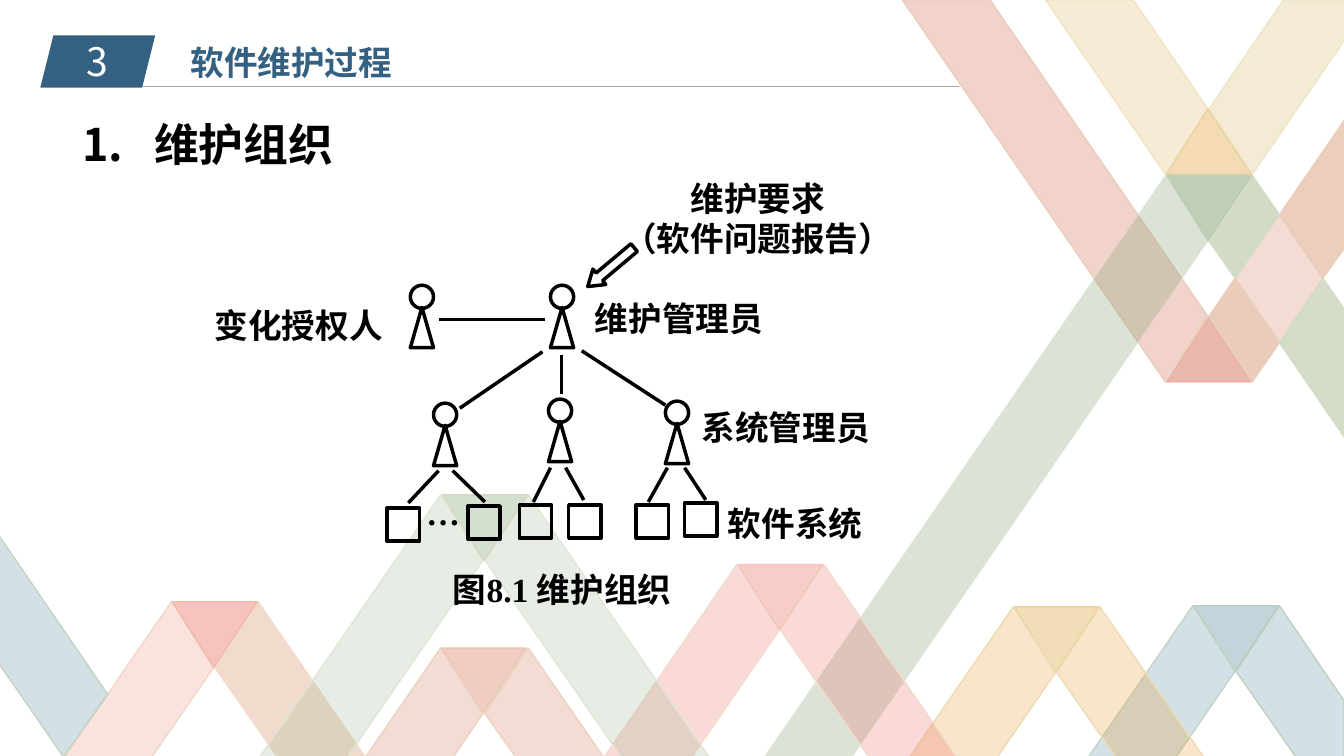
"""Draw the slide on how software upkeep is organised."""
from dataclasses import dataclass

from lxml import etree
from pptx import Presentation
from pptx.dml.color import RGBColor
from pptx.enum.shapes import MSO_CONNECTOR, MSO_SHAPE
from pptx.enum.text import PP_ALIGN
from pptx.oxml.ns import qn
from pptx.util import Cm, Length, Pt

LINE = MSO_CONNECTOR.STRAIGHT
OVAL, CONE = MSO_SHAPE.OVAL, MSO_SHAPE.ISOSCELES_TRIANGLE
BOX, ARROW, SLANT = MSO_SHAPE.RECTANGLE, MSO_SHAPE.LEFT_ARROW, MSO_SHAPE.PARALLELOGRAM
LEFT, MID, JUST = PP_ALIGN.LEFT, PP_ALIGN.CENTER, PP_ALIGN.JUSTIFY
SANS, SERIF = "Noto Sans CJK SC", "Times New Roman"
BASE, SLOPE = 7.54, 1.45
COLORS = {
    "ink": "000000", "white": "FFFFFF", "navy": "346182", "rule": "A6A6A6",
    "coral": "EE8F82", "red": "ED5249", "rose": "ED6F65", "rust": "D57053",
    "amber": "E49B35", "gold": "E7B05E", "cream": "EFE3C2", "teal": "508799",
    "sage": "A2B894", "leaf": "89A67A", "moss": "88A378", "peach": "F1DBCC",
    "clay": "EBCEBC", "tan": "E9CCBA", "mint": "D2DBC4", "pale": "D3DDC7",
}
Points = list[tuple[float, float]]


@dataclass
class Facet:
    points: Points
    fill: str
    edge: str
    alpha: int = 100
    edge_alpha: int = 100


@dataclass
class Label:
    text: str
    x: float
    y: float
    w: float
    h: float
    align: int = JUST
    font: str = SERIF
    size: int = 24
    color: str = "ink"
    bold: bool = True
    inset: bool = False
    wrap: bool = True


def inch(value: float) -> Length:
    return Cm(value * 2.54)


def cap(x: float, y: float, drop: float = 0.65) -> Points:
    return [(x, y), (x + 0.84, y), (x + 0.41, y + drop)]


def left_leg(x: float, y: float) -> Points:
    run = (BASE - y) / SLOPE
    return [(x, y), (x + 0.42, y + 0.65), (x - run + 0.87, BASE), (x - run, BASE)]


def right_leg(x: float, y: float) -> Points:
    run = (BASE - y) / SLOPE
    return [(x, y), (x + run, BASE), (x + run - 0.87, BASE), (x - 0.43, y + 0.65)]


FACETS = [
    Facet(left_leg(1.7, 5.97), "coral", "EED9C6", 25),
    Facet(right_leg(2.56, 5.97), "peach", "F1DBCC"),
    Facet(left_leg(7.31, 5.6), "rose", "F1DBCC", 25),
    Facet(cap(11.57, 3.79, -0.65), "rust", "DF9B83", 49, 49),
    Facet([(10.37, 0), (11.24, 0), (11.98, 1.08), (11.56, 1.73)], "gold", "EFE3C2", 25),
    Facet([(12.73, 0), (13.35, 0), (13.35, 0.38), (12.42, 1.73), (11.99, 1.08)],
          "cream", "EEE6C8", 71),
    Facet([(12.69, 2.13), (13.12, 2.76), (12.69, 3.4), (12.25, 2.76)], "rust", "EAD3BE", 25),
    Facet([(13.35, 1.17), (13.35, 2.44), (13.12, 2.76), (12.69, 2.13)], "clay", "EACDBA"),
    Facet([(12.42, 1.74), (12.69, 2.13), (12.25, 2.76), (11.99, 2.39)], "mint", "D3DDC7"),
    Facet([(12.25, 2.76), (12.69, 3.4), (12.42, 3.79), (11.99, 3.14)], "tan", "EACDBB"),
    Facet([(13.12, 2.76), (13.35, 3.09), (13.35, 4.36), (12.69, 3.4)], "pale", "D3DCC6"),
    Facet(cap(11.57, 1.73, -0.65), "amber", "EBD3A2", 36),
    Facet(cap(11.57, 1.74), "moss", "B3C4A5", 53, 53),
    Facet(left_leg(4.37, 4.91), "sage", "E0E6D3", 25),
    Facet(right_leg(5.24, 4.91), "sage", "E0E6D3", 25),
    Facet([(-0.04, 5.27), (1.07, 6.89), (0.63, 7.51), (-0.04, 6.54)], "teal", "C3D4C3", 25),
    Facet(right_leg(5.24, 6.43), "rust", "EAD3BF", 25),
    Facet(cap(4.38, 6.43), "rust", "E6C6B1", 35),
    Facet(cap(11.84, 6.01), "teal", "B5CAC1", 35),
    Facet(left_leg(11.83, 6.01), "teal", "C4D5C6", 25),
    Facet([(12.69, 6.01), (13.33, 6.95), (13.33, 7.52), (12.86, 7.52), (12.26, 6.66)],
          "teal", "BFD1BD", 25),
    Facet(cap(10.06, 6.02), "amber", "EBD3A3", 35),
    Facet(left_leg(10.05, 6.02), "amber", "EBDCB0", 25),
    Facet(right_leg(10.91, 6.02), "amber", "EBDCB2", 25),
    Facet(left_leg(4.37, 6.43), "rust", "EAD3BF", 25),
    Facet([(8.95, 0), (9.82, 0), (11.98, 3.14), (11.56, 3.79)], "rust", "EACEBC", 30),
    Facet([(11.56, 1.74), (11.98, 2.39), (8.43, 7.54), (7.56, 7.54)], "moss", "D3DCC5", 30, 30),
    Facet(right_leg(8.17, 5.6), "rose", "F1DBCC", 25),
    Facet(cap(1.71, 5.97), "red", "EFBBAB", 35),
    Facet(cap(4.39, 4.91), "leaf", "CFDAC2", 35),
    Facet(cap(7.32, 5.6), "rose", "F2C7BA", 35),
]
HEADINGS = [
    Label("3", 0.41, 0.32, 1.12, 0.57, MID, SANS, 28, "white", False, True),
    Label("软件维护过程", 1.79, 0.37, 2.2, 0.5, MID, SANS, 24, "navy", True, True, False),
]
TITLE = Label("1.\t维护组织", 0.72, 1.17, 4.67, 0.62, LEFT, SANS, 32, inset=True)
LABELS = [
    Label("…", 4.23, 4.88, 0.69, 0.4),
    Label("维护要求\n（软件问题报告）", 6.14, 1.76, 2.75, 0.79, MID),
    Label("维护管理员", 5.9, 2.96, 1.99, 0.4),
    Label("系统管理员", 6.96, 4.04, 2.17, 0.4),
    Label("软件系统", 7.22, 4.99, 1.62, 0.4),
    Label("变化授权人", 2.13, 3.03, 2.17, 0.4),
    Label("图8.1 维护组织", 4.07, 5.64, 3.01, 0.4, MID),
]
PEOPLE = [(5.46, 2.83), (4.07, 2.83), (4.3, 4), (5.44, 3.96), (6.6, 3.98)]
SYSTEMS = [(3.84, 5.04), (5.15, 5.01), (4.64, 5.02), (5.64, 5.01), (6.31, 5.01), (6.79, 4.99)]
LINKS = [
    (4.35, 3.17, 5.41, 3.17), (5.57, 3.52, 5.57, 3.91), (5.38, 3.49, 4.56, 4.05),
    (5.77, 3.48, 6.6, 4.02), (5.46, 4.64, 5.29, 4.98), (5.61, 4.64, 5.79, 4.96),
    (6.62, 4.64, 6.43, 4.98), (6.79, 4.64, 7, 4.96), (4.35, 4.67, 4.05, 4.99),
    (4.49, 4.67, 4.81, 4.98),
]


def fade(fill, alpha: int) -> None:
    if alpha < 100:
        for color in fill.iter(qn("a:srgbClr")):
            etree.SubElement(color, qn("a:alpha"), val=str(alpha * 1000))


def draw_facet(shapes, facet: Facet) -> None:
    points = [(inch(x), inch(y)) for x, y in facet.points]
    pen = shapes.build_freeform(*points[0])
    pen.add_line_segments(points[1:])
    shape = pen.convert_to_shape()
    shape.shadow.inherit = False
    shape.fill.solid()
    shape.fill.fore_color.rgb = RGBColor.from_string(COLORS[facet.fill])
    shape.line.width = Pt(1)
    shape.line.color.rgb = RGBColor.from_string(facet.edge)
    props = shape._element.spPr
    fade(props.find(qn("a:solidFill")), facet.alpha)
    fade(props.find(qn("a:ln")), facet.edge_alpha)


def draw_shape(shapes, kind: int, x: float, y: float, w: float, h: float, fill: str = ""):
    shape = shapes.add_shape(kind, inch(x), inch(y), inch(w), inch(h))
    shape.shadow.inherit = False
    if fill:
        shape.fill.solid()
        shape.fill.fore_color.rgb = RGBColor.from_string(COLORS[fill])
        shape.line.fill.background()
    else:
        shape.fill.background()
        shape.line.width = Pt(2.5)
        shape.line.color.rgb = RGBColor.from_string(COLORS["ink"])
    return shape


def draw_line(shapes, ends: tuple, color: str = "ink", width: float = 2.5) -> None:
    line = shapes.add_connector(LINE, *(inch(end) for end in ends))
    line.line.width = Pt(width)
    line.line.color.rgb = RGBColor.from_string(COLORS[color])
    etree.SubElement(line._element.spPr, qn("a:effectLst"))


def draw_label(shapes, label: Label):
    box = shapes.add_textbox(inch(label.x), inch(label.y), inch(label.w), inch(label.h))
    frame = box.text_frame
    frame.word_wrap = label.wrap
    if not label.inset:
        frame.margin_left = frame.margin_right = frame.margin_top = frame.margin_bottom = 0
    frame.text = label.text
    for para in frame.paragraphs:
        para.alignment = label.align
        for run in para.runs:
            run.font.size, run.font.bold = Pt(label.size), label.bold
            run.font.name = label.font
            run.font.color.rgb = RGBColor.from_string(COLORS[label.color])
            etree.SubElement(run._r.get_or_add_rPr(), qn("a:ea"), typeface=SANS)
    return box


def main() -> None:
    deck = Presentation()
    deck.slide_width, deck.slide_height = inch(13.33), inch(7.5)
    shapes = deck.slides.add_slide(deck.slide_layouts[6]).shapes
    for facet in FACETS:
        draw_facet(shapes, facet)
    draw_line(shapes, (0.87, 0.86, 9.51, 0.86), "rule", 0.5)
    draw_shape(shapes, SLANT, 0.4, 0.35, 1.14, 0.52, "navy")
    for label in HEADINGS:
        draw_label(shapes, label)
    para = draw_label(shapes, TITLE).text_frame.paragraphs[0]
    para.line_spacing = 0.9
    tabs = etree.SubElement(para._p.get_or_add_pPr(), qn("a:tabLst"))
    etree.SubElement(tabs, qn("a:tab"), pos=str(inch(0.71)), algn="l")
    for x, y in PEOPLE:
        draw_shape(shapes, OVAL, x, y, 0.23, 0.23)
        draw_shape(shapes, CONE, x, y + 0.22, 0.23, 0.4)
    for x, y in SYSTEMS:
        draw_shape(shapes, BOX, x, y, 0.32, 0.33)
    for ends in LINKS:
        draw_line(shapes, ends)
    arrow = draw_shape(shapes, ARROW, 5.76, 2.55, 0.6, 0.2)
    arrow.rotation = 320
    arrow.adjustments[1] = 0.75
    for label in LABELS:
        draw_label(shapes, label)
    deck.save("out.pptx")


if __name__ == "__main__":
    main()
